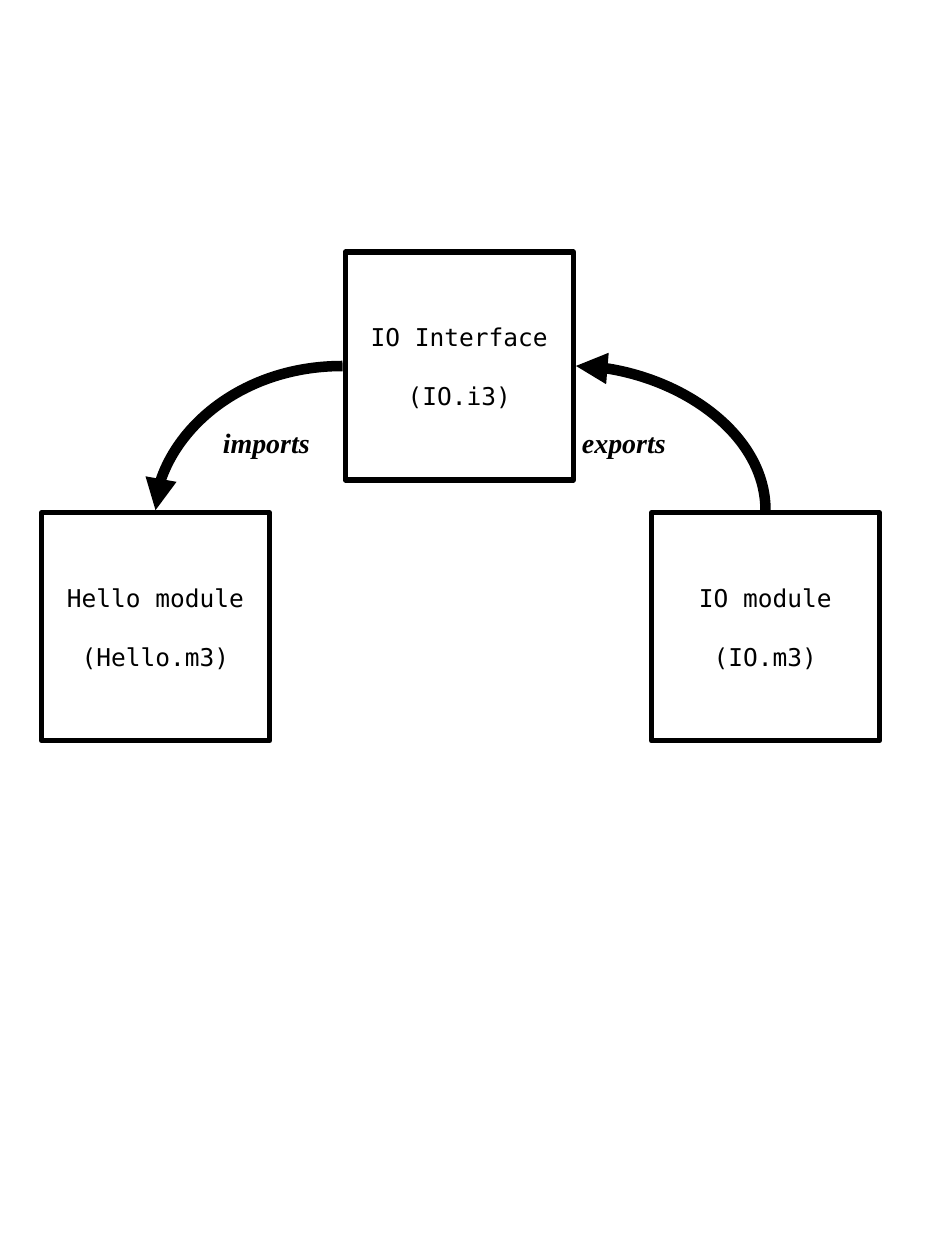
from dataclasses import dataclass

from lxml import etree
from pptx import Presentation
from pptx import util as u
from pptx.dml.color import RGBColor
from pptx.enum import shapes, text
from pptx.oxml.ns import qn


@dataclass(frozen=True)
class Theme:
    ink: RGBColor = RGBColor(0, 0, 0)
    code: str = "DejaVu Sans Mono"
    prose: str = "Times New Roman"
    code_size: int = 14
    label_size: int = 16
    frame: int = 3
    arrow: int = 6
    gap: int = 17


THEME = Theme()
WIDE, HIGH = 7.5, 10
SIDE = 1.81
COLS = (0.33, 2.74, 5.17)
ROWS = (2, 4.07)
LABEL_TOP = 3.33


def style(para, face, size):
    para.font.name = face
    para.font.size = u.Pt(size)
    para.font.color.rgb = THEME.ink


def add_box(slide, col, row, lines):
    box = slide.shapes.add_shape(
        shapes.MSO_SHAPE.RECTANGLE,
        *map(u.Inches, (COLS[col], ROWS[row], SIDE, SIDE)))
    box.shadow.inherit = False
    box.fill.background()
    box.line.color.rgb = THEME.ink
    box.line.width = u.Pt(THEME.frame)
    frame = box.text_frame
    frame.word_wrap = False
    frame.vertical_anchor = text.MSO_ANCHOR.MIDDLE
    frame.text = "\n".join(lines)
    for para in frame.paragraphs:
        para.alignment = text.PP_ALIGN.CENTER
        style(para, THEME.code, THEME.code_size)
    frame.paragraphs[-1].space_before = u.Pt(THEME.gap)


def add_curve(slide, start, end, turn=False):
    (x1, y1), (x2, y2) = start, end
    if turn:
        midx, midy = (x1 + x2) / 2, (y1 + y2) / 2
        dx, dy = abs(y2 - y1) / 2, abs(x2 - x1) / 2
        x1, y1, x2, y2 = midx - dx, midy + dy, midx + dx, midy - dy
    curve = slide.shapes.add_connector(
        shapes.MSO_CONNECTOR.CURVE, *map(u.Inches, (x1, y1, x2, y2)))
    curve.line.color.rgb = THEME.ink
    curve.line.width = u.Pt(THEME.arrow)
    props = curve._element.spPr
    props.find(qn("a:prstGeom")).set("prst", "curvedConnector2")
    if turn:
        props.find(qn("a:xfrm")).set("rot", str(270 * 60000))
    tip = etree.SubElement(props.find(qn("a:ln")), qn("a:tailEnd"))
    tip.set("type", "triangle")
    etree.SubElement(props, qn("a:effectLst"))


def add_label(slide, left, width, word):
    label = slide.shapes.add_textbox(
        *map(u.Inches, (left, LABEL_TOP, width, 0.37)))
    frame = label.text_frame
    frame.word_wrap = False
    frame.auto_size = text.MSO_AUTO_SIZE.SHAPE_TO_FIT_TEXT
    frame.text = word
    para = frame.paragraphs[0]
    para.space_before = u.Pt(10)
    style(para, THEME.prose, THEME.label_size)
    para.font.bold = para.font.italic = True


def main():
    deck = Presentation()
    deck.slide_width, deck.slide_height = u.Inches(WIDE), u.Inches(HIGH)
    slide = deck.slides.add_slide(deck.slide_layouts[6])

    add_box(slide, 1, 0, ("IO Interface", "(IO.i3)"))
    add_box(slide, 2, 1, ("IO module", "(IO.m3)"))
    add_box(slide, 0, 1, ("Hello module", "(Hello.m3)"))

    half = SIDE / 2
    edge = THEME.frame / 2 / 72
    mid, top = ROWS[0] + half, ROWS[1] - edge
    add_curve(slide, (COLS[2] + half, top),
              (COLS[1] + SIDE + edge, mid), turn=True)
    add_curve(slide, (COLS[1] - edge, mid), (COLS[0] + half, top))

    add_label(slide, 4.52, 1.05, "exports")
    add_label(slide, 1.67, 1.09, "imports")
    deck.save("out.pptx")


if __name__ == "__main__":
    main()
